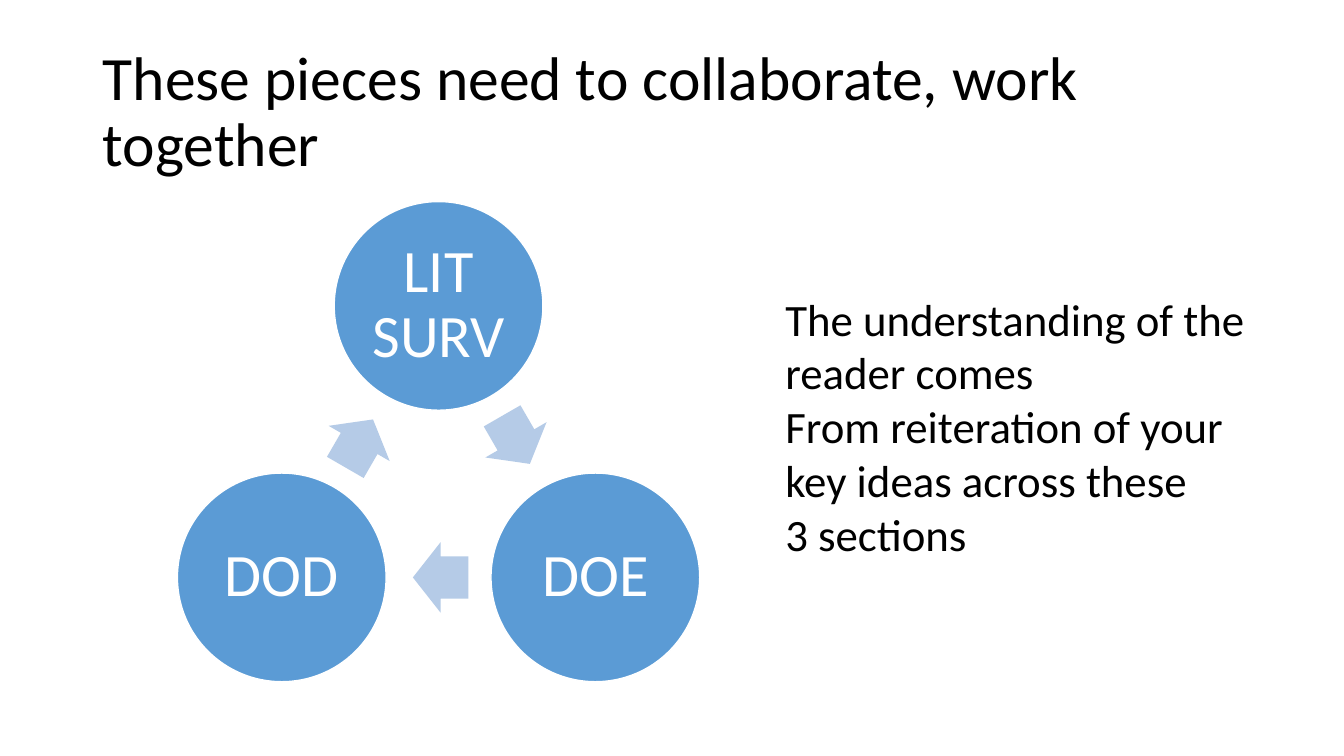
from dataclasses import dataclass
from math import cos, radians, sin

from pptx import Presentation
from pptx.dml.color import RGBColor
from pptx.enum.shapes import MSO_SHAPE
from pptx.enum.text import MSO_ANCHOR, MSO_AUTO_SIZE, PP_ALIGN
from pptx.util import Inches, Pt


@dataclass(frozen=True)
class Theme:
    font: str = "Calibri"
    ink: str = "000000"
    paper: str = "FFFFFF"
    disc: str = "5B9BD5"
    arrow: str = "B5CBE7"
    title: int = 44
    label: int = 43
    body: int = 32


THEME = Theme()


def color(code):
    return RGBColor.from_string(code)


def write(para, text, size, ink, align=PP_ALIGN.LEFT, space=1.0):
    para.alignment = align
    para.line_spacing = space
    run = para.add_run()
    run.text = text
    run.font.name = THEME.font
    run.font.size = Pt(size)
    run.font.color.rgb = color(ink)


def add_solid(group, kind, mid, size, fill):
    """Add a filled shape centred on mid."""
    (x, y), (w, h) = mid, size
    shape = group.shapes.add_shape(
        kind, Inches(x - w / 2), Inches(y - h / 2), Inches(w), Inches(h))
    shape.shadow.inherit = False
    shape.fill.solid()
    shape.fill.fore_color.rgb = color(fill)
    shape.line.fill.background()
    return shape


def add_title(slide, box, text):
    title = slide.shapes.title
    title.left, title.top, title.width, title.height = map(Inches, box)
    frame = title.text_frame
    frame.word_wrap = True
    frame.auto_size = MSO_AUTO_SIZE.NONE
    frame.vertical_anchor = MSO_ANCHOR.MIDDLE
    write(frame.paragraphs[0], text, THEME.title, THEME.ink, space=0.9)


def add_disc(group, mid, size, text):
    disc = add_solid(group, MSO_SHAPE.OVAL, mid, (size, size), THEME.disc)
    disc.line.color.rgb = color(THEME.paper)
    disc.line.width = Pt(1)
    frame = disc.text_frame
    frame.word_wrap = True
    frame.vertical_anchor = MSO_ANCHOR.MIDDLE
    frame.margin_left = frame.margin_right = Inches(0.06)
    frame.margin_top = frame.margin_bottom = Inches(0.06)
    write(frame.paragraphs[0], text, THEME.label, THEME.paper,
          PP_ALIGN.CENTER, 0.9)


def add_cycle(slide, box, names):
    """Place discs clockwise on a ring, with an arrow between neighbours."""
    left, top, width, size = box
    step = 360 / len(names)
    ring = (width - size) / 2 / sin(radians(step))
    hub = left + width / 2, top + size / 2 + ring

    def spot(angle, reach):
        turn = radians(angle)
        return hub[0] + reach * cos(turn), hub[1] + reach * sin(turn)

    group = slide.shapes.add_group_shape()
    for i, name in enumerate(names):
        angle = i * step - 90
        add_disc(group, spot(angle, ring), size, name)

        # Arrow halfway to the next disc, set slightly back
        x, y = spot(angle + step / 2, ring * cos(radians(step / 2)))
        course = (i + 0.5) * step
        back = 0.02
        mid = (x - back * cos(radians(course)),
               y - back * sin(radians(course)))
        arrow = add_solid(group, MSO_SHAPE.RIGHT_ARROW, mid,
                          (0.55, 0.7), THEME.arrow)
        arrow.adjustments[0] = 0.6
        arrow.adjustments[1] = 0.5
        arrow.rotation = course


def add_note(slide, box, lines):
    frame = slide.shapes.add_textbox(*map(Inches, box)).text_frame
    frame.word_wrap = True
    frame.auto_size = MSO_AUTO_SIZE.SHAPE_TO_FIT_TEXT
    for i, line in enumerate(lines):
        para = frame.add_paragraph() if i else frame.paragraphs[0]
        write(para, line, THEME.body, THEME.ink)


def main():
    deck = Presentation()
    deck.slide_width, deck.slide_height = Inches(13.33), Inches(7.5)
    slide = deck.slides.add_slide(deck.slide_layouts[5])

    # Heading
    add_title(slide, (0.92, 0.4, 11.5, 1.45),
              "These pieces need to collaborate, work together")

    # Cycle: left, top, overall width, disc size
    add_cycle(slide, (1.76, 2, 5.18, 2.07), ["LIT SURV", "DOE", "DOD"])

    # Remark at right
    add_note(slide, (7.69, 2.84, 5.09, 2.79), [
        "The understanding of the reader comes",
        "From reiteration of your key ideas across these",
        "3 sections",
    ])
    deck.save("out.pptx")


if __name__ == "__main__":
    main()
